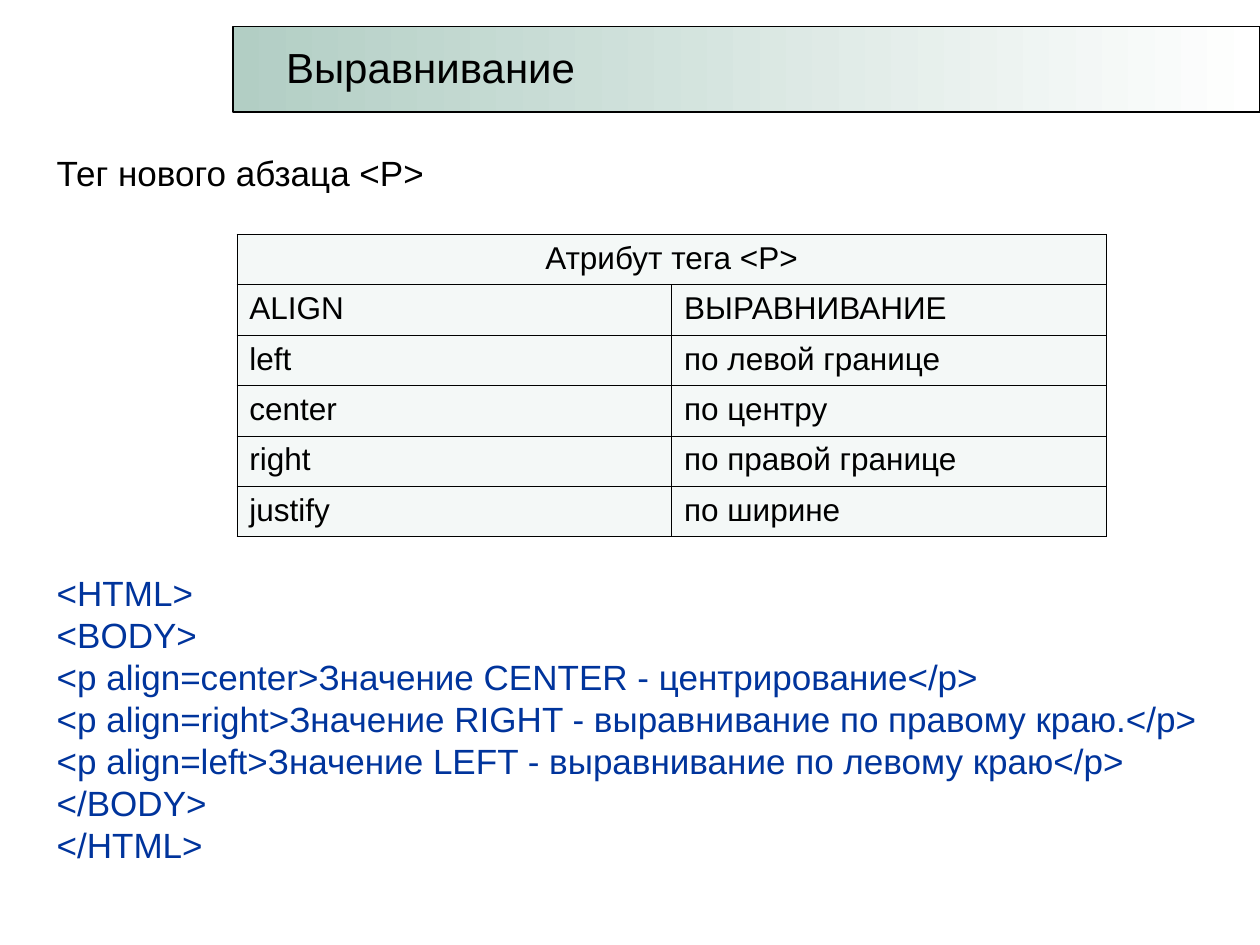
from lxml import etree
from pptx import Presentation
from pptx import util as u
from pptx.dml.color import RGBColor
from pptx.enum import shapes, text
from pptx.oxml import ns

HEADING = "Выравнивание"
INTRO = "Тег нового абзаца <P>"
CODE = [
    "<HTML>",
    "<BODY>",
    "<p align=center>Значение CENTER - центрирование</p>",
    "<p align=right>Значение RIGHT - выравнивание по правому краю.</p>",
    "<p align=left>Значение LEFT - выравнивание по левому краю</p>",
    "</BODY>",
    "</HTML>",
]
TABLE_HEADING = "Атрибут тега <P>"
ALIGNMENTS = [
    ("ALIGN", "ВЫРАВНИВАНИЕ"),
    ("left", "по левой границе"),
    ("center", "по центру"),
    ("right", "по правой границе"),
    ("justify", "по ширине"),
]
BLACK, BLUE, GREEN, WHITE, PALE = "000000", "00349C", "B2CEC4", "FFFFFF", "EBF3F0"
ROW_HEIGHT = 0.4
LINE_PITCH = 24
TABLE_GAP = 9 * LINE_PITCH


def rgb(code):
    return RGBColor.from_string(code)


def box(*lengths):
    return [u.Inches(length) for length in lengths]


def place(part, *lengths):
    part.left, part.top, part.width, part.height = box(*lengths)


def style(paragraph, size, color):
    paragraph.font.name = "Arial"
    paragraph.font.size = u.Pt(size)
    paragraph.font.color.rgb = rgb(color)


def sub(parent, tag, **attributes):
    return etree.SubElement(parent, ns.qn(tag), attributes)


def format_cell(cell, words):
    cell.text = words
    paragraph = cell.text_frame.paragraphs[0]
    style(paragraph, 18, BLACK)
    paragraph.space_before = u.Pt(4.5)
    cell.fill.solid()
    cell.fill.fore_color.rgb = rgb(PALE)
    properties = cell._tc.get_or_add_tcPr()
    sub(properties.find(".//" + ns.qn("a:srgbClr")), "a:alpha", val="50000")
    for position, side in enumerate(("a:lnL", "a:lnR", "a:lnT", "a:lnB")):
        border = sub(properties, side, w=str(u.Pt(0.45)))
        sub(sub(border, "a:solidFill"), "a:srgbClr", val=BLACK)
        properties.insert(position, border)


def add_body(slide):
    body = slide.placeholders[1]
    place(body, 0.35, 1.15, 9.37, 5.77)
    frame = body.text_frame
    frame.text = "\n".join([INTRO] + CODE)
    frame.auto_size = text.MSO_AUTO_SIZE.NONE
    frame.vertical_anchor = text.MSO_ANCHOR.MIDDLE
    for index, paragraph in enumerate(frame.paragraphs):
        style(paragraph, 20, BLUE if index else BLACK)
        paragraph.line_spacing = u.Pt(LINE_PITCH)
        paragraph.space_before = u.Pt(TABLE_GAP if index == 1 else 0)
        properties = paragraph._p.get_or_add_pPr()
        properties.set("marL", "0")
        properties.set("indent", "0")
        sub(properties, "a:buNone")


def add_heading(slide):
    bar = slide.shapes.add_shape(shapes.MSO_SHAPE.RECTANGLE, *box(1.85, 0.21, 8.15, 0.68))
    bar.shadow.inherit = False
    bar.fill.gradient()
    bar.fill.gradient_angle = 0
    for stop, color in zip(bar.fill.gradient_stops, (GREEN, WHITE)):
        stop.color.rgb = rgb(color)
    bar.line.color.rgb = rgb(BLACK)
    bar.line.width = u.Pt(0.75)

    title = slide.shapes.title
    place(title, 2.17, 0.28, 2.5, 0.5)
    frame = title.text_frame
    frame.text = HEADING
    frame.auto_size = text.MSO_AUTO_SIZE.NONE
    frame.word_wrap = False
    frame.vertical_anchor = text.MSO_ANCHOR.TOP
    style(frame.paragraphs[0], 24, BLACK)
    frame.paragraphs[0].alignment = text.PP_ALIGN.LEFT
    bar.element.addnext(title.element)


def add_alignment_table(slide):
    rows = [(TABLE_HEADING, "")] + ALIGNMENTS
    frame = slide.shapes.add_table(
        len(rows), 2, *box(1.88, 1.86, 6.9, ROW_HEIGHT * len(rows)))
    table = frame.table
    table.first_row = table.horz_banding = False
    for r, row in enumerate(rows):
        for c, words in enumerate(row):
            format_cell(table.cell(r, c), words)
    table.cell(0, 0).merge(table.cell(0, 1))
    table.cell(0, 0).text_frame.paragraphs[0].alignment = text.PP_ALIGN.CENTER


def main():
    deck = Presentation()
    deck.slide_width, deck.slide_height = box(10, 7.5)
    slide = deck.slides.add_slide(deck.slide_layouts[1])
    add_body(slide)
    add_heading(slide)
    add_alignment_table(slide)
    deck.save("out.pptx")


if __name__ == "__main__":
    main()
